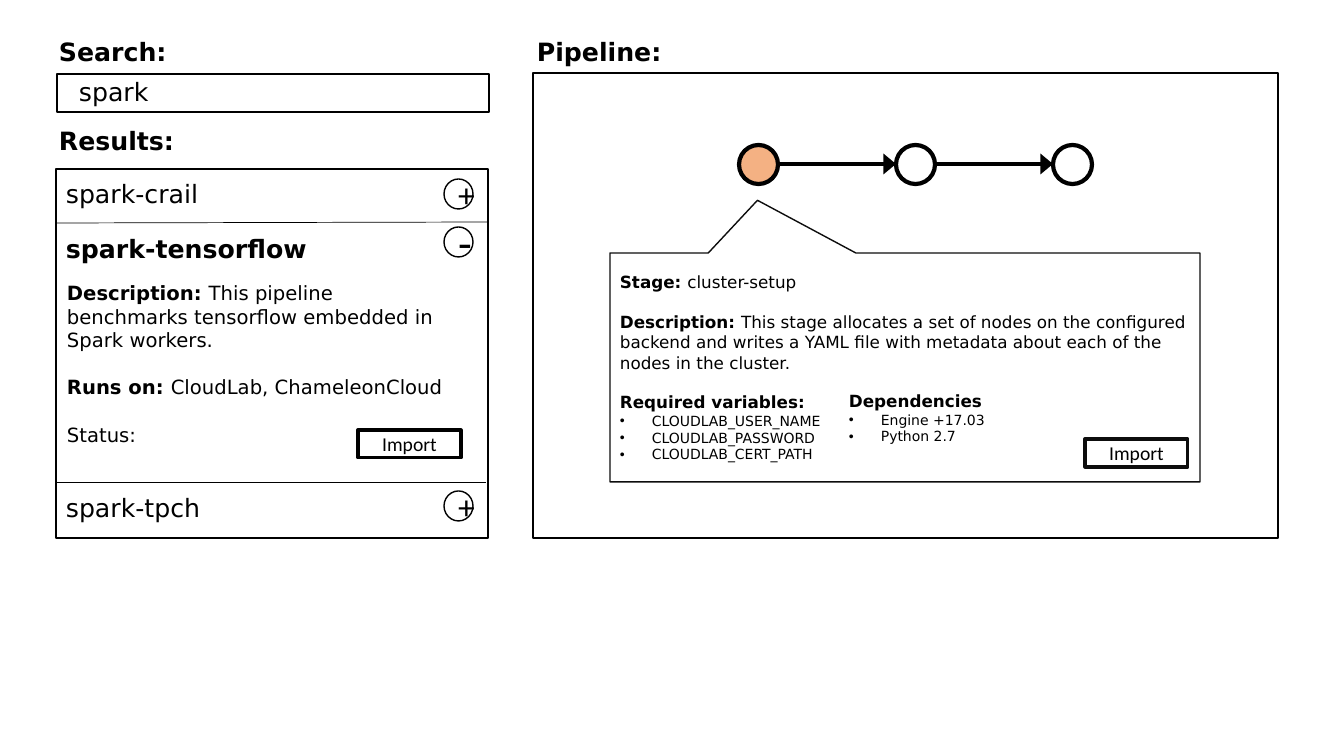
from lxml import etree
from pptx import Presentation
from pptx import util as u
from pptx.dml.color import RGBColor
from pptx.enum import shapes, text
from pptx.oxml.ns import qn

PX = 914400 / 100.8
COLORS = {"ink": "000000", "soft_ink": "0D0D0D", "active": "F4B183"}
LABEL_FONT, BUTTON_FONT = "DejaVu Sans", "Calibri"
LEFT, CENTER = text.PP_ALIGN.LEFT, text.PP_ALIGN.CENTER


def px(*lengths):
    return [u.Emu(round(length * PX)) for length in lengths]


def add_box(kind, box, line_width, paragraphs=(), fill=None, line="ink", font=LABEL_FONT, align=LEFT):
    """Add a preset shape, or a text box when kind is None.

    Each paragraph is (size, space before, bulleted, [(words, bold), ...]).
    """
    if kind is None:
        shape = slide.shapes.add_textbox(*px(*box))
    else:
        shape = slide.shapes.add_shape(kind, *px(*box))
        shape.shadow.inherit = False
        shape.line.color.rgb = RGBColor.from_string(COLORS[line])
        shape.line.width = u.Pt(line_width)
        if fill:
            shape.fill.solid()
            shape.fill.fore_color.rgb = RGBColor.from_string(COLORS[fill])
        else:
            shape.fill.background()
    frame = shape.text_frame
    frame.word_wrap = True
    for index, (size, space, bulleted, runs) in enumerate(paragraphs):
        paragraph = frame.add_paragraph() if index else frame.paragraphs[0]
        paragraph.alignment = align
        if space:
            paragraph.space_before = u.Pt(space)
        if bulleted:
            properties = paragraph._p.get_or_add_pPr()
            indent = px(32)[0]
            properties.set("marL", str(indent))
            properties.set("indent", str(-indent))
            etree.SubElement(properties, qn("a:buFont"), typeface="Arial")
            etree.SubElement(properties, qn("a:buChar"), char="•")
        for words, bold in runs:
            run = paragraph.add_run()
            run.text = words
            run.font.size = u.Pt(size)
            run.font.bold = bold
            run.font.name = font
            run.font.color.rgb = RGBColor.from_string(COLORS["ink"])
    return shape


presentation = Presentation()
presentation.slide_width, presentation.slide_height = px(1344, 756)
slide = presentation.slides.add_slide(presentation.slide_layouts[6])
RECTANGLE, OVAL = shapes.MSO_SHAPE.RECTANGLE, shapes.MSO_SHAPE.OVAL

# Search field, result list and pipeline panel
for panel in [(57, 74, 432, 38), (56, 169, 432, 369), (533, 73, 745, 465)]:
    add_box(RECTANGLE, panel, 1.5)

# Nodes of the pipeline
NODE_LEFT, NODE_TOP, NODE_SIZE, NODE_STEP = 739, 145, 39, 157
node_lefts = [NODE_LEFT + NODE_STEP * index for index in range(3)]
for left, fill in zip(node_lefts, ["active", None, None]):
    add_box(OVAL, (left, NODE_TOP, NODE_SIZE, NODE_SIZE), 3, fill=fill)

# Result dividers and pipeline arrows
lines = [((56, 223, 489, 222), 0.5, False), ((56, 482, 486, 482), 0.5, False)]
for start, end in zip(node_lefts, node_lefts[1:]):
    lines.append(((start + NODE_SIZE, 164, end, 164), 3, True))
for ends, width, arrow in lines:
    connector = slide.shapes.add_connector(shapes.MSO_CONNECTOR.STRAIGHT, *px(*ends))
    connector.line.color.rgb = RGBColor.from_string(COLORS["ink"])
    connector.line.width = u.Pt(width)
    if arrow:
        etree.SubElement(connector.line._get_or_add_ln(), qn("a:tailEnd"), type="triangle", w="lg", len="med")
    etree.SubElement(connector._element.spPr, qn("a:effectLst"))

# Expand and collapse toggles
for top, sign, size in [(179, "+", 24), (227, "-", 32), (491, "+", 24)]:
    add_box(OVAL, (444, top, 29, 30), 1, [(size, 0, False, [(sign, False)])],
            font=BUTTON_FONT, align=CENTER)

# Headings and one-line entries
for left, top, width, words, bold in [
    (49, 31, 128, "Search:", True),
    (69, 71, 91, "spark", False),
    (49, 120, 136, "Results:", True),
    (56, 173, 153, "spark-crail", False),
    (56, 228, 266, "spark-tensorflow", True),
    (56, 487, 156, "spark-tpch", False),
    (527, 31, 145, "Pipeline:", True),
]:
    label = add_box(None, (left, top, width, 40), 0, [(18, 0, False, [(words, bold)])])
    label.text_frame.word_wrap = False
    label.text_frame.auto_size = text.MSO_AUTO_SIZE.SHAPE_TO_FIT_TEXT

# Details of the open result
add_box(None, (57, 276, 411, 176), 0, [
    (14, 0, False, [("Description: ", True),
                    ("This pipeline benchmarks tensorflow embedded in Spark workers.", False)]),
    (14, 17, False, [("Runs on: ", True), ("CloudLab, ChameleonCloud", False)]),
    (14, 17, False, [("Status:", False)]),
])

# Stage callout
variables = ["CLOUDLAB_USER_NAME", "CLOUDLAB_PASSWORD", "CLOUDLAB_CERT_PATH"]
callout = add_box(shapes.MSO_SHAPE.RECTANGULAR_CALLOUT, (610, 253, 590, 229), 1, [
    (12, 0, False, [("Stage: ", True), ("cluster-setup", False)]),
    (12, 14, False, [("Description: ", True),
                     ("This stage allocates a set of nodes on the configured backend and writes "
                      "a YAML file with metadata about each of the nodes in the cluster.", False)]),
    (12, 14, False, [("Required variables:", True)]),
    *[(10, 0, True, [(name, False)]) for name in variables],
], line="soft_ink")
callout.adjustments[0] = -0.25
callout.adjustments[1] = -0.73

add_box(None, (839, 386, 336, 65), 0, [
    (12, 0, False, [("Dependencies", True)]),
    *[(10, 0, True, [(name, False)]) for name in ["Engine +17.03", "Python 2.7"]],
])

# Import buttons
for left, top, line in [(358, 430, "ink"), (1085, 439, "soft_ink")]:
    add_box(RECTANGLE, (left, top, 103, 28), 2.25, [(14, 0, False, [("Import", False)])],
            line=line, font=BUTTON_FONT, align=CENTER)

presentation.save("out.pptx")
